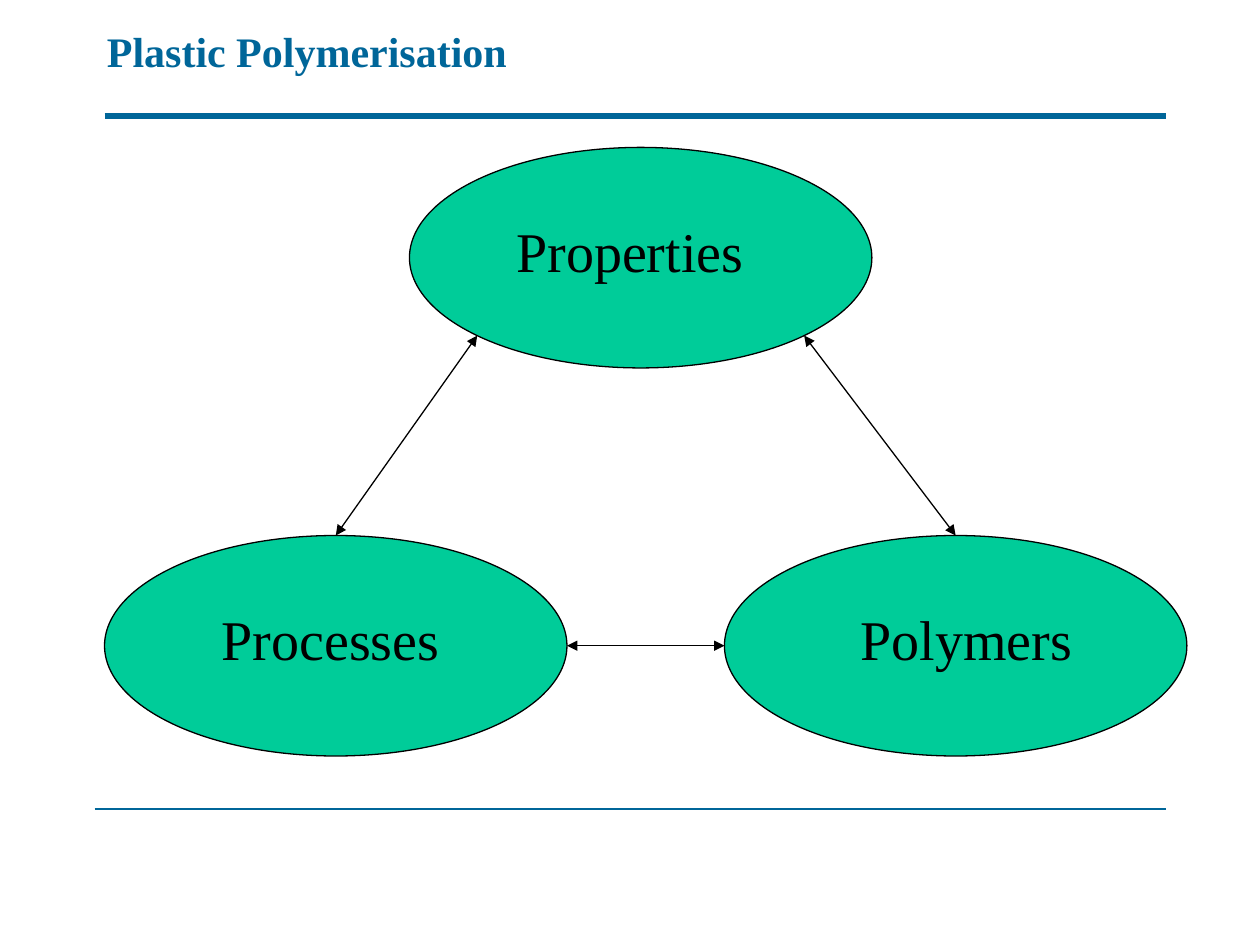
from dataclasses import dataclass
from math import sqrt

from lxml import etree
from pptx import Presentation
from pptx.dml.color import RGBColor
from pptx.enum.shapes import MSO_CONNECTOR, MSO_SHAPE
from pptx.enum.text import PP_ALIGN
from pptx.oxml.ns import qn
from pptx.util import Inches, Pt


@dataclass(frozen=True)
class Theme:
    font: str = "Times New Roman"
    accent: RGBColor = RGBColor(0x00, 0x66, 0x99)
    ellipse: RGBColor = RGBColor(0x00, 0xCC, 0x99)
    ink: RGBColor = RGBColor(0, 0, 0)
    title_size: Pt = Pt(24)
    label_size: Pt = Pt(32)
    thin: Pt = Pt(0.75)
    thick: Pt = Pt(3)


@dataclass(frozen=True)
class Box:
    left: float
    top: float
    width: float
    height: float

    def inches(self):
        return [Inches(value) for value in (self.left, self.top, self.width, self.height)]

    def ellipse_point(self, across, down):
        return (self.left + self.width * (1 + across) / 2,
                self.top + self.height * (1 + down) / 2)


THEME = Theme()


def add_text(slide, box, text, size, color, bold=False, alignment=PP_ALIGN.LEFT, wrap=True):
    text_frame = slide.shapes.add_textbox(*box.inches()).text_frame
    text_frame.word_wrap = wrap
    text_frame.text = text
    paragraph = text_frame.paragraphs[0]
    paragraph.alignment = alignment
    font = paragraph.runs[0].font
    font.name, font.size, font.bold = THEME.font, size, bold
    font.color.rgb = color


def add_line(slide, start, end, color, width, arrows=False):
    points = [Inches(value) for value in (*start, *end)]
    connector = slide.shapes.add_connector(MSO_CONNECTOR.STRAIGHT, *points)
    connector.line.color.rgb = color
    connector.line.width = width
    if arrows:
        outline = connector.line._get_or_add_ln()
        for tag in ("a:headEnd", "a:tailEnd"):
            etree.SubElement(outline, qn(tag), type="triangle")
    etree.SubElement(connector._element.spPr, qn("a:effectLst"))


def add_frame(slide, box):
    right = box.left + box.width
    bottom = box.top + box.height
    add_text(slide, Box(box.left, box.top, 3.62, 0.5), "Plastic Polymerisation",
             THEME.title_size, THEME.accent, bold=True, wrap=False)
    add_line(slide, (box.left + 0.08, 0.92), (right, 0.92), THEME.accent, THEME.thick)
    add_line(slide, (box.left, bottom), (right, bottom), THEME.accent, THEME.thin)


def add_ellipse(slide, box):
    shape = slide.shapes.add_shape(MSO_SHAPE.OVAL, *box.inches())
    shape.shadow.inherit = False
    shape.fill.solid()
    shape.fill.fore_color.rgb = THEME.ellipse
    shape.line.color.rgb = THEME.ink
    shape.line.width = THEME.thin


def add_triangle(slide, box):
    width, height = 3.67, 1.75
    lower_top = box.top + box.height - height
    properties = Box(box.left + 2.42, box.top, width, height)
    processes = Box(box.left, lower_top, width, height)
    polymers = Box(box.left + box.width - width, lower_top, width, height)
    labels = (
        (properties, "Properties", 0.5, 2.5),
        (processes, "Processes", 0.67, 2.25),
        (polymers, "Polymers", 0.67, 2.5),
    )
    for ellipse, *_ in labels:
        add_ellipse(slide, ellipse)
    for ellipse, text, inset, label_width in labels:
        label_box = Box(ellipse.left + inset, ellipse.top + 0.5, label_width, 0.63)
        add_text(slide, label_box, text, THEME.label_size, THEME.ink,
                 alignment=PP_ALIGN.CENTER)
    diagonal = 1 / sqrt(2)
    links = (
        (processes.ellipse_point(0, -1), properties.ellipse_point(-diagonal, diagonal)),
        (properties.ellipse_point(diagonal, diagonal), polymers.ellipse_point(0, -1)),
        (processes.ellipse_point(1, 0), polymers.ellipse_point(-1, 0)),
    )
    for start, end in links:
        add_line(slide, start, end, THEME.ink, THEME.thin, arrows=True)


def main():
    presentation = Presentation()
    presentation.slide_width = Inches(10)
    presentation.slide_height = Inches(7.5)
    slide = presentation.slides.add_slide(presentation.slide_layouts[6])
    add_frame(slide, Box(0.75, 0.15, 8.5, 6.27))
    add_triangle(slide, Box(0.83, 1.17, 8.59, 4.83))
    presentation.save("out.pptx")


if __name__ == "__main__":
    main()
